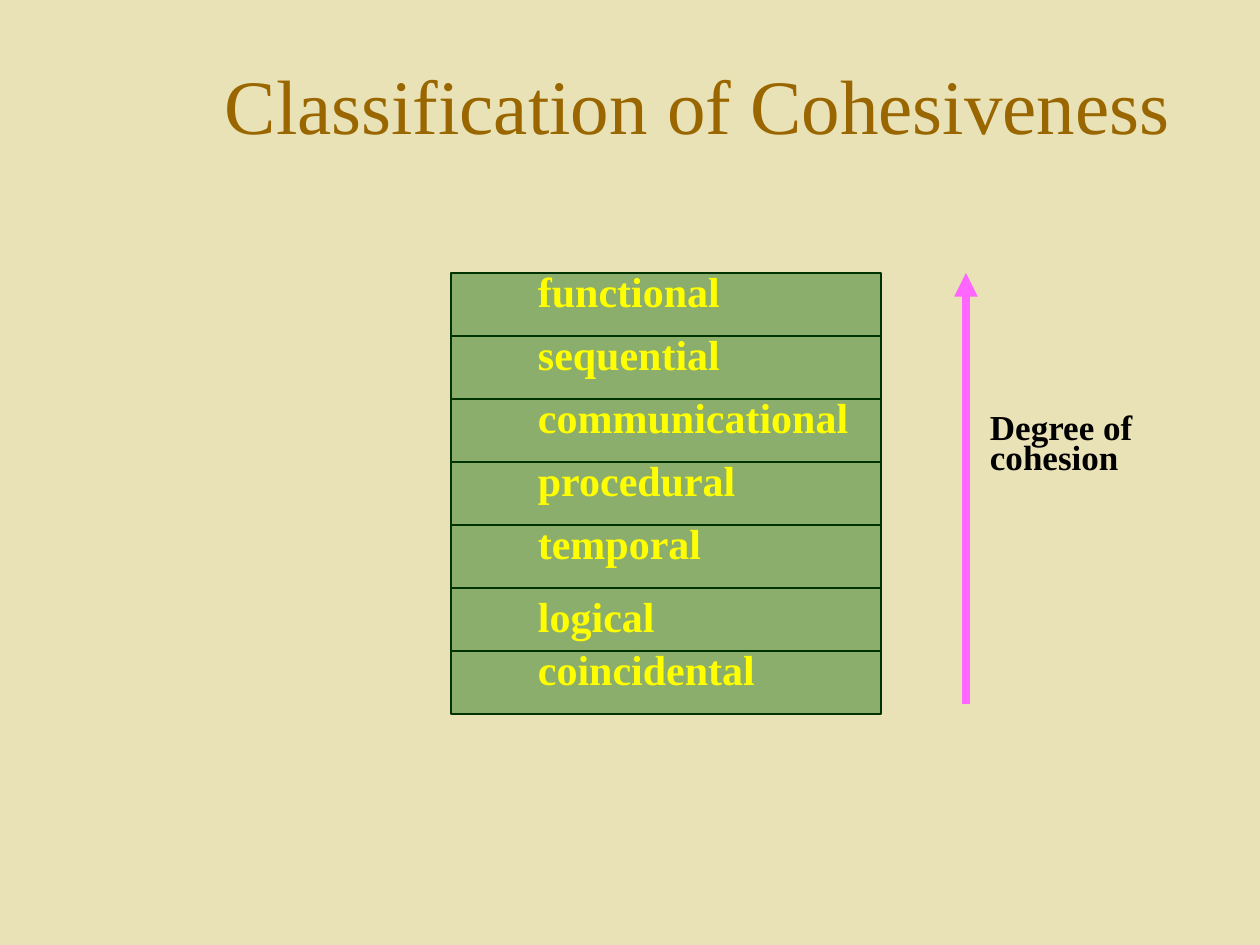
from pptx import Presentation
from pptx import util as u
from pptx.dml.color import RGBColor
from pptx.enum import shapes, text
from pptx.oxml import parse_xml
from pptx.oxml.ns import nsdecls

PX = 914400 // 126


def color(code):
    return RGBColor.from_string(code)


def write(box, words, size, tint, para, bold=False):
    """Put words in a shape's text frame, with paragraph values from para."""
    frame = box.text_frame
    frame.text = words
    values = {"word_wrap": True, "auto_size": text.MSO_AUTO_SIZE.NONE,
              "margin_left": 3 * PX, "margin_right": 3 * PX,
              "margin_top": 6 * PX, "margin_bottom": 6 * PX}
    for name, value in values.items():
        setattr(frame, name, value)
    line = frame.paragraphs[0]
    for name, value in para.items():
        setattr(line, name, value)
    for run in line.runs:
        font = run.font
        font.name, font.size, font.bold = "Times New Roman", u.Pt(size), bold
        font.color.rgb = color(tint)


deck = Presentation()
deck.slide_width, deck.slide_height = 1260 * PX, 945 * PX
slide = deck.slides.add_slide(deck.slide_layouts[5])
slide.background.fill.solid()
slide.background.fill.fore_color.rgb = color("E9E2B6")

title = slide.shapes.title
place = {"left": 189, "top": 25, "width": 1018, "height": 158}
for name, value in place.items():
    setattr(title, name, value * PX)
write(title, "Classification of Cohesiveness", 44, "996600",
      {"alignment": text.PP_ALIGN.CENTER, "space_before": u.Pt(9.9)})
title.text_frame.vertical_anchor = text.MSO_ANCHOR.MIDDLE

# Levels of cohesion, strongest first
levels = ["functional", "sequential", "communicational", "procedural",
          "temporal", "logical", "coincidental"]
top, step = 273, 63
for row in range(len(levels)):
    bar = slide.shapes.add_shape(
        shapes.MSO_SHAPE.ROUNDED_RECTANGLE,
        451 * PX, (top + row * step) * PX, 430 * PX, step * PX)
    bar.adjustments[0] = 0
    bar.shadow.inherit = False
    bar.fill.solid()
    bar.fill.fore_color.rgb = color("8BAE6C")
    bar.line.color.rgb = color("003300")
    bar.line.width = u.Pt(0.75)

for row, level in enumerate(levels):
    drop = 10 if level == "logical" else 0
    label = slide.shapes.add_textbox(
        535 * PX, (top + row * step + drop) * PX, 367 * PX, step * PX)
    write(label, level, 24, "FFFF00",
          {"line_spacing": 0.72, "space_before": u.Pt(13.6)}, bold=True)

# Upward arrow with its caption
arrow = slide.shapes.add_connector(
    shapes.MSO_CONNECTOR.STRAIGHT, 966 * PX, 704 * PX, 966 * PX, top * PX)
arrow.line.color.rgb = color("FF66FF")
arrow.line.width = u.Pt(4.5)
arrow.line._get_or_add_ln().append(
    parse_xml(f'<a:tailEnd {nsdecls("a")} type="triangle"/>'))
arrow._element.spPr.append(parse_xml(f'<a:effectLst {nsdecls("a")}/>'))

note = slide.shapes.add_textbox(987 * PX, 410 * PX, 210 * PX, 96 * PX)
write(note, "Degree of \vcohesion", 20, "000000",
      {"line_spacing": 0.72, "space_before": u.Pt(11.4)}, bold=True)

deck.save("out.pptx")
